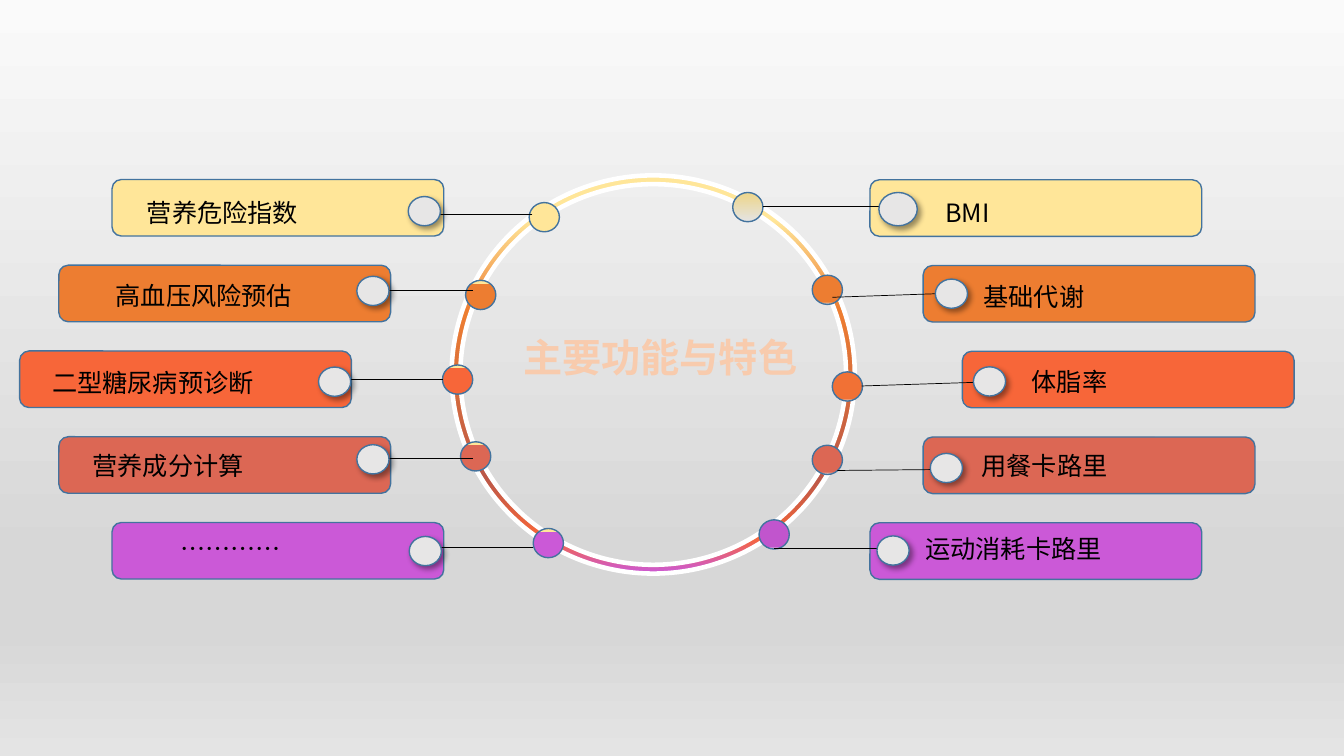
from lxml.etree import SubElement
from pptx import Presentation
from pptx.dml.color import RGBColor
from pptx.enum.shapes import MSO_CONNECTOR, MSO_SHAPE
from pptx.enum.text import MSO_ANCHOR, PP_ALIGN
from pptx.oxml.ns import qn
from pptx.util import Pt

FONT = "Noto Sans CJK SC"
BLACK = RGBColor(0x00, 0x00, 0x00)
WHITE = RGBColor(0xFF, 0xFF, 0xFF)
EDGE = RGBColor(0x43, 0x73, 0x9E)
KNOB = RGBColor(0xE7, 0xE6, 0xE6)
PALE = RGBColor(0xE4, 0xE4, 0xE4)
MIST = RGBColor(0xFA, 0xFA, 0xFA)
GREY = RGBColor(0xD7, 0xD7, 0xD7)
PEACH = RGBColor(0xF8, 0xCB, 0xAD)
CREAM = RGBColor(0xFF, 0xE6, 0x99)
ORANGE = RGBColor(0xED, 0x7D, 0x31)
CORAL = RGBColor(0xF7, 0x66, 0x39)
BRICK = RGBColor(0xDC, 0x67, 0x54)
VIOLET = RGBColor(0xCB, 0x59, 0xD7)
SAND = RGBColor(0xED, 0xD6, 0x8E)
AMBER = RGBColor(0xF1, 0x71, 0x35)
ORCHID = RGBColor(0xC1, 0x55, 0xCD)
RUST = RGBColor(0xBC, 0x58, 0x48)

BARS = [CREAM, ORANGE, CORAL, BRICK, VIOLET]
BAR_W, BAR_H, PITCH = 237, 40.4, 61.25
DOT_W, DOT_H = 21.6, 20.9
SMALL = (23, 20.9)
LARGE = (27.4, 23.8)

# Each row: label, label place and width, dot place, line start and run, knob place and size
LEFT = [
    ("营养危险指数", (17.9, 9.3, 183), (298, 16.5), (300.2, 25.2), (-73, 0), (211.6, 12.2), SMALL),
    ("高血压风险预估", (33.6, 7.2, 151), (290.6, 10.8), (295.7, 18), (-73, 0), (212.9, 7.9), SMALL),
    ("二型糖尿病预诊断", (16.2, 7.9, 179), (302.1, 10), (302.1, 20.1), (-73, 0), (213.5, 11.5), SMALL),
    ("营养成分计算", (17, 6.4, 195), (287, 3.6), (295.7, 15.8), (-73, 0), (212.9, 5.7), SMALL),
    ("…………", (41.7, 4.3, 153), (300.9, 4.3), (300.9, 18), (-73, 0), (212.3, 10), SMALL),
]
RIGHT = [
    ("BMI", (46.8, 9.1, 181), (-98, 9.1), (-76.4, 19.2), (98, 0), (6.4, 9.1), LARGE),
    ("基础代谢", (36, 7.6, 154), (-79.2, 6.9), (-64.8, 22.7), (85, -2.9), (8.7, 9.7), SMALL),
    ("体脂率", (42.5, 7.5, 127), (-92.9, 14.7), (-72, 24.8), (91.4, -2.9), (7.9, 11.1), SMALL),
    ("用餐卡路里", (34.6, 5.9, 122), (-79.2, 5.9), (-61.2, 23.9), (75, -0.7), (5.1, 11.7), SMALL),
    ("运动消耗卡路里", (32.4, 3.7, 145), (-79.2, -2.1), (-68.4, 18.1), (82, 0), (5, 9.4), SMALL),
]
LEFT_DOTS = [[(89, tint), (89, CREAM)] for tint in BARS]
RIGHT_DOTS = [[(8, SAND), (100, PALE)]] + [
    [(92, tint), (100, PALE)] for tint in (ORANGE, AMBER, BRICK, ORCHID)]


def blend(fill, node, stops, turn):
    fill.gradient()
    fill.gradient_angle = 360 - turn
    ramp = next(node.iter(qn("a:gsLst")))
    for old in list(ramp):
        ramp.remove(old)
    for pos, tint in stops:
        stop = SubElement(ramp, qn("a:gs"), pos=str(pos * 1000))
        SubElement(stop, qn("a:srgbClr"), val=str(tint))


def form(slide, kind, box, tint=None, edge=EDGE, width=1):
    item = slide.shapes.add_shape(kind, *map(Pt, box))
    item.shadow.inherit = False
    if tint is not None:
        item.fill.solid()
        item.fill.fore_color.rgb = tint
    item.line.color.rgb = edge
    item.line.width = Pt(width)
    return item


def write(slide, box, text, size, tint, bold=False, align=PP_ALIGN.LEFT):
    frame = slide.shapes.add_textbox(*map(Pt, box)).text_frame
    frame.word_wrap = True
    frame.vertical_anchor = MSO_ANCHOR.TOP
    frame.text = text
    line = frame.paragraphs[0]
    line.alignment = align
    font = line.runs[0].font
    font.name, font.size, font.bold = FONT, Pt(size), bold
    font.color.rgb = tint
    SubElement(font._element, qn("a:ea"), typeface=FONT)


def arrow(slide, x, y, run, rise):
    item = slide.shapes.add_connector(
        MSO_CONNECTOR.STRAIGHT, Pt(x), Pt(y), Pt(x + run), Pt(y + rise))
    item.line.color.rgb = BLACK
    item.line.width = Pt(0.5)
    SubElement(item.line._get_or_add_ln(), qn("a:tailEnd"), type="triangle")
    SubElement(item._element.spPr, qn("a:effectLst"))


def knob(slide, box):
    item = form(slide, MSO_SHAPE.OVAL, box, KNOB)
    glow = item._element.spPr.find(qn("a:effectLst"))
    shade = SubElement(glow, qn("a:outerShdw"), blurRad=str(Pt(4)),
                       dist=str(Pt(3)), dir="2700000", algn="tl", rotWithShape="0")
    tint = SubElement(shade, qn("a:srgbClr"), val=str(BLACK))
    SubElement(tint, qn("a:alpha"), val="40000")


def ring(slide, box):
    x, y, w, h = box
    item = form(slide, MSO_SHAPE.DONUT, box, edge=WHITE, width=3.25)
    item.adjustments[0] = 0.022
    blend(item.fill, item._element.spPr,
          [(0, VIOLET), (9, CORAL), (24, RUST), (66, ORANGE), (89, CREAM)], 270)
    write(slide, (x, y + h / 2 - 33, w + 10, 44), "主要功能与特色", 28, PEACH,
          True, PP_ALIGN.CENTER)


def side(slide, x, y, shifts, rows, dots, turn):
    for i, (row, shift, tint, stops) in enumerate(zip(rows, shifts, BARS, dots)):
        text, label, dot, start, run, place, size = row
        left, top = x + shift, y + i * PITCH
        form(slide, MSO_SHAPE.ROUNDED_RECTANGLE, (left, top, BAR_W, BAR_H), tint)
        ball = form(slide, MSO_SHAPE.OVAL, (left + dot[0], top + dot[1], DOT_W, DOT_H))
        blend(ball.fill, ball._element.spPr, stops, turn)
        arrow(slide, left + start[0], top + start[1], *run)
        knob(slide, (left + place[0], top + place[1], *size))
        write(slide, (left + label[0], top + label[1], label[2], 29), text, 18, BLACK)


def main():
    deck = Presentation()
    deck.slide_width, deck.slide_height = Pt(960), Pt(540)
    slide = deck.slides.add_slide(deck.slide_layouts[6])
    blend(slide.background.fill, slide._element,
          [(0, MIST), (74, GREY), (83, GREY), (100, PALE)], 90)
    ring(slide, (322.6, 125.3, 288, 284.4))
    side(slide, 14, 128.2, (66, 28, 0, 28, 66), LEFT, LEFT_DOTS, 270)
    side(slide, 621.4, 128.4, (0, 38, 66, 38, 0), RIGHT, RIGHT_DOTS, 90)
    deck.save("out.pptx")


if __name__ == "__main__":
    main()
